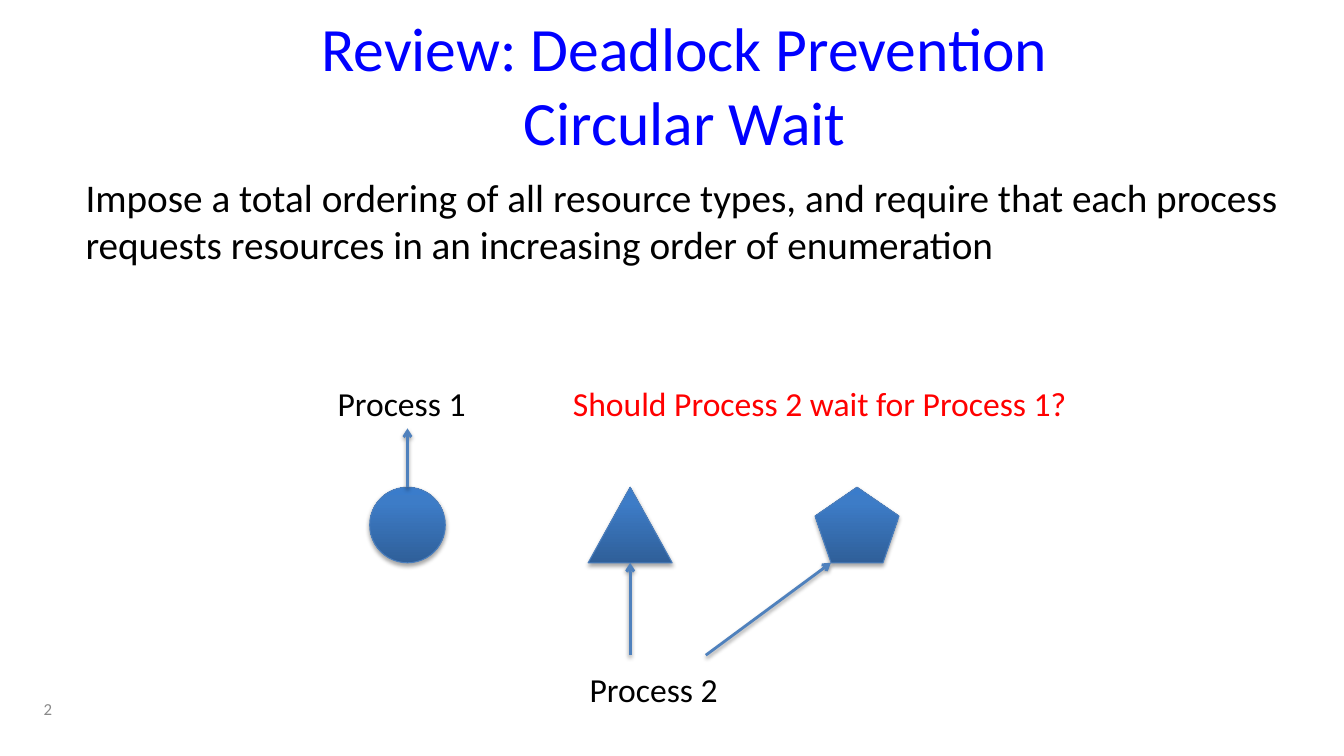
import pptx
import pptx.util
import pptx.dml.color
import pptx.enum.shapes
import pptx.enum.text
import pptx.oxml
import pptx.oxml.ns
from dataclasses import dataclass


@dataclass(frozen=True)
class Theme:
    font: str = "Calibri"
    title: str = "0000FF"
    text: str = "000000"
    question: str = "FF0000"
    muted: str = "898989"
    outline: str = "4B7EBC"
    arrow: str = "4F81BD"
    gradient: tuple = ((0, "2F5F99"), (80, "3D7CC7"), (100, "3A7CCB"))
    title_size: int = 44
    body_size: int = 28
    label_size: int = 24
    number_size: int = 12


theme = Theme()
rgb = pptx.dml.color.RGBColor.from_string
anchors = pptx.enum.text.MSO_ANCHOR
alignments = pptx.enum.text.PP_ALIGN
shapes = pptx.enum.shapes.MSO_SHAPE
namespace = pptx.oxml.ns.nsdecls("a")

presentation = pptx.Presentation()
presentation.slide_width = pptx.util.Inches(13.33)
presentation.slide_height = pptx.util.Inches(7.5)
slide = presentation.slides.add_slide(presentation.slide_layouts[6])

# The slide is a grid of 160 columns by 90 rows of square cells
cell = presentation.slide_height / 90


def add_text(text, box, size, color, anchor=anchors.TOP, alignment=alignments.LEFT):
    text_box = slide.shapes.add_textbox(*(round(length * cell) for length in box))
    frame = text_box.text_frame
    frame.word_wrap = True
    frame.vertical_anchor = anchor
    paragraph = frame.paragraphs[0]
    paragraph.text = text
    paragraph.alignment = alignment
    for run in paragraph.runs:
        run.font.name = theme.font
        run.font.size = pptx.util.Pt(size)
        run.font.color.rgb = rgb(color)


def add_shadow(shape, distance, opacity):
    shape._element.spPr.append(pptx.oxml.parse_xml(
        f'<a:effectLst {namespace}><a:outerShdw blurRad="{pptx.util.Pt(3.1)}" '
        f'dist="{pptx.util.Pt(distance)}" dir="5400000" rotWithShape="0">'
        f'<a:srgbClr val="000000"><a:alpha val="{opacity * 1000}"/></a:srgbClr>'
        '</a:outerShdw></a:effectLst>'))


# Title, statement and slide number
add_text("Review: Deadlock Prevention\nCircular Wait", (7, 2, 149, 16),
         theme.title_size, theme.title, anchors.MIDDLE, alignments.CENTER)
add_text("Impose a total ordering of all resource types, and require that each process "
         "requests resources in an increasing order of enumeration",
         (9, 20, 145, 21), theme.body_size, theme.text)
add_text("2", (4, 82, 21.3, 4.8), theme.number_size, theme.muted, anchors.MIDDLE)

# Resources
resource_top, resource_height = 58, 9
resource_bottom = resource_top + resource_height
stops = "".join(f'<a:gs pos="{position * 1000}"><a:srgbClr val="{color}"/></a:gs>'
                for position, color in theme.gradient)
for kind, left, width in ((shapes.OVAL, 44, 9),
                          (shapes.ISOSCELES_TRIANGLE, 70, 10),
                          (shapes.REGULAR_PENTAGON, 97, 10)):
    resource = slide.shapes.add_shape(
        kind, *(round(length * cell) for length in (left, resource_top, width, resource_height)))
    resource.fill.background()
    properties = resource._element.spPr
    properties.replace(
        properties.find(pptx.oxml.ns.qn("a:noFill")),
        pptx.oxml.parse_xml(f'<a:gradFill {namespace} rotWithShape="1"><a:gsLst>{stops}</a:gsLst>'
                            '<a:lin ang="16200000" scaled="0"/></a:gradFill>'))
    resource.line.color.rgb = rgb(theme.outline)
    resource.line.width = pptx.util.Pt(0.75)
    add_shadow(resource, 1.8, 35)

# Processes
add_text("Process 1", (39, 45, 19, 6), theme.label_size, theme.text)
add_text("Process 2", (69, 79, 19, 6), theme.label_size, theme.text)

# Arrows: held resource up to Process 1, requests of Process 2 up to resources
for start, end in (((48.5, resource_top), (48.5, 51)),
                   ((75, 78), (75, resource_bottom)),
                   ((84, 78), (98.9, resource_bottom))):
    arrow = slide.shapes.add_connector(
        pptx.enum.shapes.MSO_CONNECTOR.STRAIGHT,
        *(round(length * cell) for length in start + end))
    arrow.line.color.rgb = rgb(theme.arrow)
    arrow.line.width = pptx.util.Pt(2)
    arrow.line._get_or_add_ln().append(
        pptx.oxml.parse_xml(f'<a:tailEnd {namespace} type="arrow"/>'))
    add_shadow(arrow, 1.6, 38)

# Question
add_text("Should Process 2 wait for Process 1?", (67, 45, 64, 6),
         theme.label_size, theme.question)

presentation.save("out.pptx")
